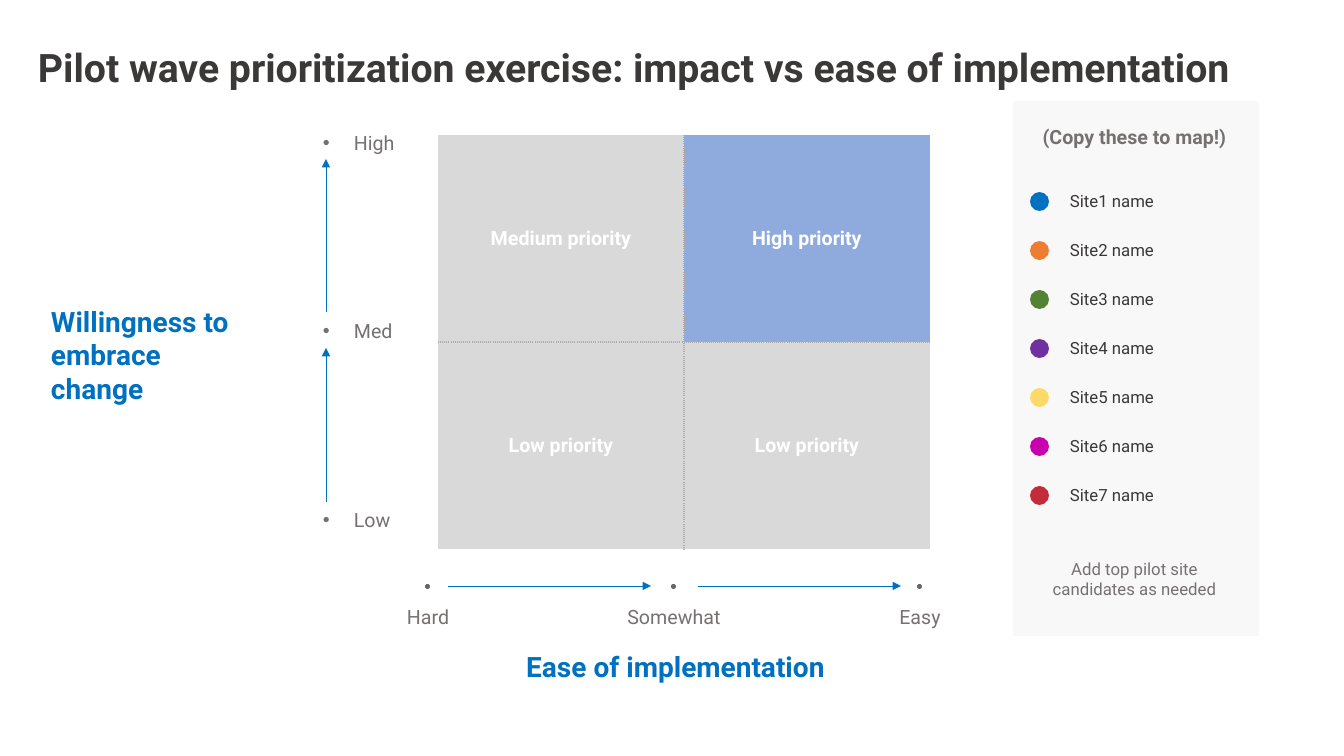
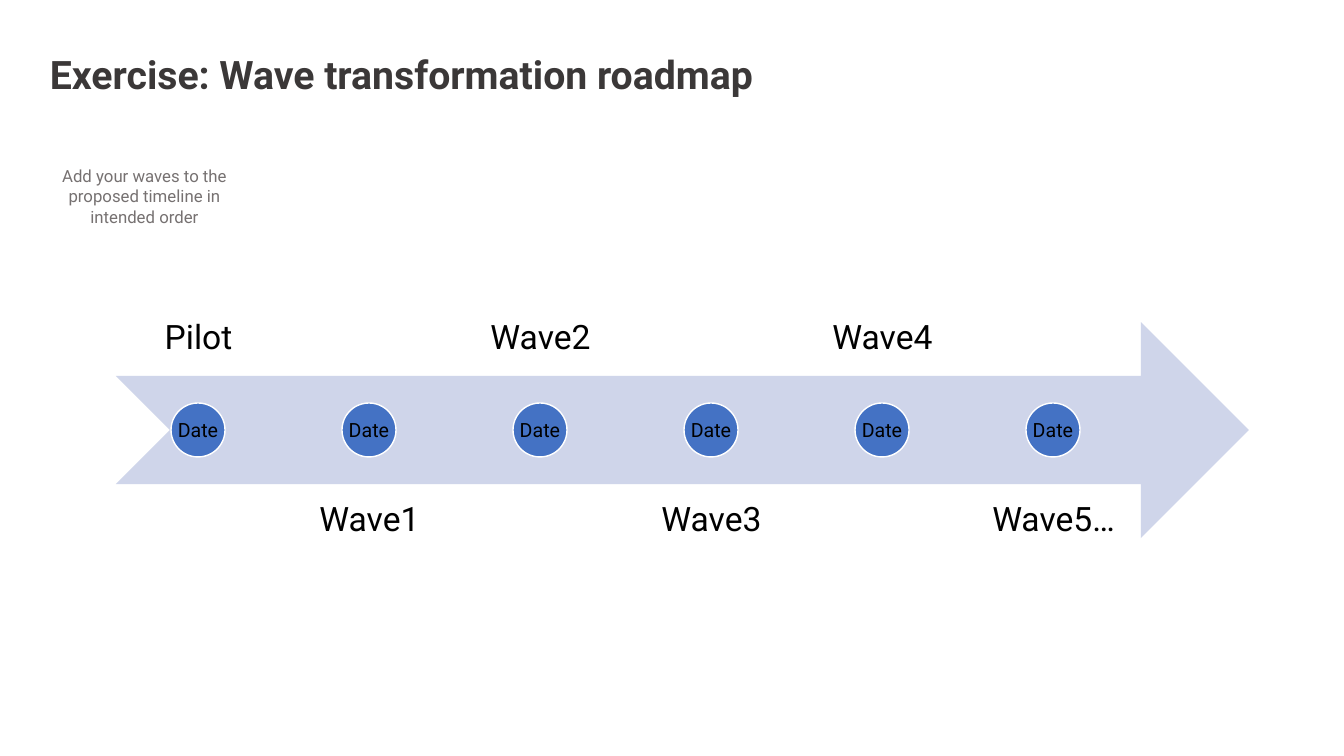
import lxml.etree
import pptx
import pptx.dml.color
import pptx.enum.shapes
import pptx.enum.text
import pptx.oxml
import pptx.oxml.ns
import pptx.util

PX = 9071  # EMU in one px
FONT = "Roboto"
COLORS = {
    "dark": "3B3838", "gray": "767171", "dot": "6B6666", "blue": "0070C0",
    "white": "FFFFFF", "black": "000000", "panel": "F2F2F2",
    "cell": "D9D9D9", "high": "8FAADC", "grid": "AFABAB",
    "arrow": "CFD5EA", "milestone": "4472C4",
}
SITE_COLORS = ["0070C0", "ED7D31", "548235", "7030A0", "FFD966", "C801AC", "C42B3B"]
RGB = pptx.dml.color.RGBColor.from_string
SHAPE = pptx.enum.shapes.MSO_SHAPE
CENTER = pptx.enum.text.PP_ALIGN.CENTER
LEFT = pptx.enum.text.PP_ALIGN.LEFT
ANCHOR = pptx.enum.text.MSO_ANCHOR
qn = pptx.oxml.ns.qn


def add_item(slide, box, preset=None, fill=None):
    """Add a filled preset shape, or a wrapping text box when no preset is given."""
    lengths = [value * PX for value in box]
    if preset is None:
        shape = slide.shapes.add_textbox(*lengths)
        shape.text_frame.word_wrap = True
        return shape
    shape = slide.shapes.add_shape(preset, *lengths)
    shape.shadow.inherit = False
    shape.fill.solid()
    shape.fill.fore_color.rgb = RGB(fill)
    shape.line.fill.background()
    return shape


def write_text(frame, text, size, color, bold=False, align=LEFT, anchor=None, insets=None):
    """Write one paragraph; insets are left, top, right, bottom in px."""
    if anchor is not None:
        frame.vertical_anchor = anchor
    if insets:
        frame.margin_left, frame.margin_top, frame.margin_right, frame.margin_bottom = [
            value * PX for value in insets]
    paragraph = frame.paragraphs[0]
    paragraph.alignment = align
    run = paragraph.add_run()
    run.text = text
    run.font.name = FONT
    run.font.size = pptx.util.Pt(size)
    run.font.bold = bold
    run.font.color.rgb = RGB(COLORS[color])
    return paragraph


presentation = pptx.Presentation()
presentation.slide_width = 1344 * PX
presentation.slide_height = 756 * PX

slides = []
for title, box in [
    ("Pilot wave prioritization exercise: impact vs ease of implementation", (28, 17, 1285, 99)),
    ("Exercise: Wave transformation roadmap", (40, 37, 1257, 74)),
]:
    slide = presentation.slides.add_slide(presentation.slide_layouts[6])
    write_text(add_item(slide, box).text_frame, title, 28, "dark", True, anchor=ANCHOR.MIDDLE)
    slides.append(slide)
matrix_slide, roadmap_slide = slides

# Priority matrix
frame = matrix_slide.shapes.add_table(2, 2, 438 * PX, 135 * PX, 492 * PX, 414 * PX)
table = frame.table
table.first_row = False
table.horz_banding = False
# "No Style, No Grid"
table._tbl.tblPr.find(qn("a:tableStyleId")).text = "{2D5ABB26-0587-4C30-8999-92F81FD0307C}"
priorities = [["Medium priority", "High priority"], ["Low priority", "Low priority"]]
for row, labels in enumerate(priorities):
    for column, label in enumerate(labels):
        cell = table.cell(row, column)
        cell.vertical_anchor = ANCHOR.MIDDLE
        write_text(cell.text_frame, label, 14, "white", True, CENTER)
        for edge in (("a:lnR", "a:lnL")[column], ("a:lnB", "a:lnT")[row]):
            border = lxml.etree.SubElement(cell._tc.get_or_add_tcPr(), qn(edge), w="12700")
            fill = lxml.etree.SubElement(border, qn("a:solidFill"))
            lxml.etree.SubElement(fill, qn("a:srgbClr"), val=COLORS["grid"])
            lxml.etree.SubElement(border, qn("a:prstDash"), val="sysDot")
        cell.fill.solid()
        cell.fill.fore_color.rgb = RGB(COLORS["high" if label == "High priority" else "cell"])

# Axes
for text, box, align in [
    ("Willingness to embrace change", (51, 294, 221, 56), LEFT),
    ("Ease of implementation", (502, 639, 363, 83), CENTER),
]:
    write_text(add_item(matrix_slide, box).text_frame, text, 20, "blue", True, align,
               insets=(0, 10, 16, 10))

for top, level in zip((126, 314, 503), ("High", "Med", "Low")):
    label = add_item(matrix_slide, (313, top, 101, 33))
    paragraph = write_text(label.text_frame, level, 14, "gray")
    properties = paragraph._p.get_or_add_pPr()
    properties.set("marL", str(31 * PX))
    properties.set("indent", str(-31 * PX))
    lxml.etree.SubElement(properties, qn("a:buFont"), typeface="Arial")
    lxml.etree.SubElement(properties, qn("a:buChar"), char="•")

for index, ease in enumerate(("Hard", "Somewhat", "Easy")):
    left = 425 + 246 * index
    add_item(matrix_slide, (left, 584, 5, 5), SHAPE.OVAL, COLORS["dot"])
    label = add_item(matrix_slide, (left - 67, 600, 140, 34))
    write_text(label.text_frame, ease, 14, "gray", align=CENTER)

for ends in [(326, 312, 326, 159), (326, 502, 326, 348),
             (448, 586, 651, 586), (698, 586, 901, 586)]:
    arrow = matrix_slide.shapes.add_connector(
        pptx.enum.shapes.MSO_CONNECTOR.STRAIGHT, *[value * PX for value in ends])
    arrow.line.color.rgb = RGB(COLORS["blue"])
    arrow.line.width = pptx.util.Pt(0.5)
    lxml.etree.SubElement(arrow.line._get_or_add_ln(), qn("a:tailEnd"), type="triangle")
    lxml.etree.SubElement(arrow._element.spPr, qn("a:effectLst"))

# Site legend
panel = add_item(matrix_slide, (1013, 101, 246, 535), SHAPE.RECTANGLE, COLORS["panel"])
panel_color = panel._element.spPr.find(qn("a:solidFill"))[0]
lxml.etree.SubElement(panel_color, qn("a:alpha"), val="50000")
heading = add_item(matrix_slide, (1030, 120, 209, 33))
write_text(heading.text_frame, "(Copy these to map!)", 14, "gray", True, CENTER)
for index, color in enumerate(SITE_COLORS):
    top = 192 + 49 * index
    add_item(matrix_slide, (1030, top, 19, 19), SHAPE.OVAL, color)
    label = add_item(matrix_slide, (1060, top - 6, 179, 31))
    write_text(label.text_frame, f"Site{index + 1} name", 12, "dark")

# Instructions
for slide, text, box in [
    (matrix_slide, "Add top pilot site candidates as needed", (1030, 554, 209, 50)),
    (roadmap_slide, "Add your waves to the proposed timeline in intended order", (40, 161, 209, 72)),
]:
    write_text(add_item(slide, box).text_frame, text, 12, "gray", align=CENTER)

# Roadmap
add_item(roadmap_slide, (116, 322, 1133, 216), SHAPE.NOTCHED_RIGHT_ARROW, COLORS["arrow"])
for index, wave in enumerate(("Pilot", "Wave1", "Wave2", "Wave3", "Wave4", "Wave5…")):
    offset = 171 * index
    top, anchor = [(159, ANCHOR.BOTTOM), (484, ANCHOR.TOP)][index % 2]
    label = add_item(roadmap_slide, (117 + offset, top, 163, 216))
    paragraph = write_text(label.text_frame, wave, 24, "black", align=CENTER,
                           anchor=anchor, insets=(19, 19, 19, 19))
    paragraph.line_spacing = 0.9
    milestone = add_item(roadmap_slide, (171 + offset, 403, 54, 54), SHAPE.OVAL,
                         COLORS["milestone"])
    milestone.line.color.rgb = RGB(COLORS["white"])
    milestone.line.width = pptx.util.Pt(1)
    milestone.text_frame.word_wrap = False
    write_text(milestone.text_frame, "Date", 14, "black", align=CENTER,
               anchor=ANCHOR.MIDDLE, insets=(0, 0, 0, 0))

presentation.save("out.pptx")
